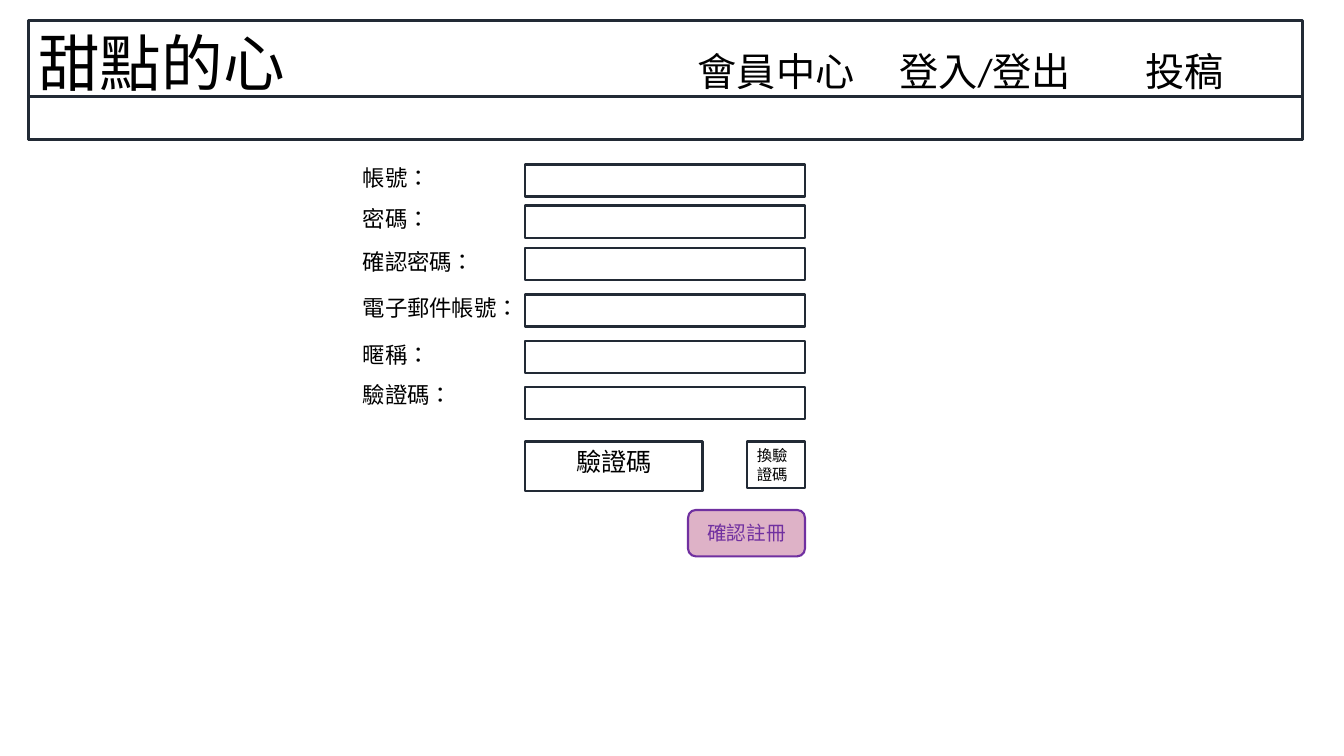
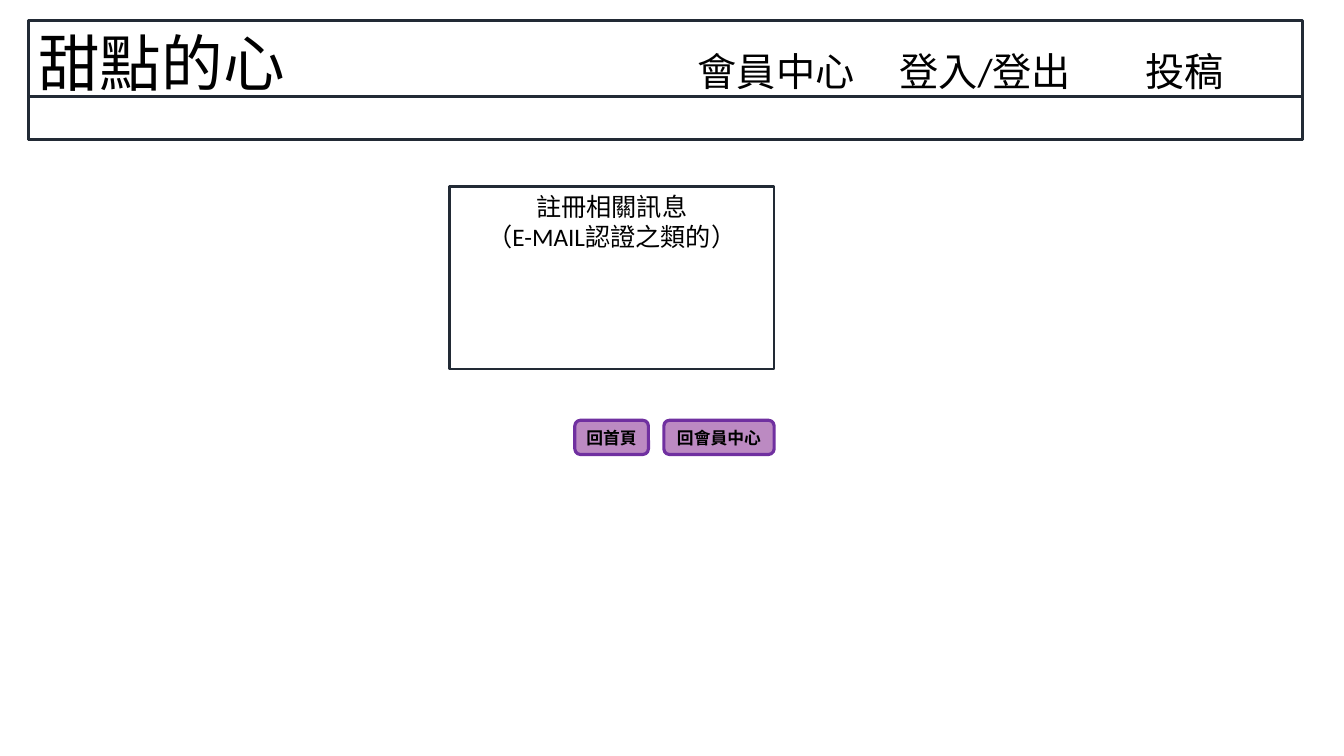
from lxml.etree import SubElement
from pptx import Presentation
from pptx.dml.color import RGBColor
from pptx.enum.shapes import MSO_SHAPE
from pptx.enum.text import MSO_ANCHOR, MSO_AUTO_SIZE, PP_ALIGN
from pptx.oxml.ns import qn
from pptx.util import Pt

FONT = "Calibri"
INK, BLACK, PURPLE, PINK, LILAC = "222A35", "000000", "7030A0", "DEB2C7", "BC8AC2"
HEADER = (20.2, 14.4, 910, 85)  # left, top, width, height
MENU_STOPS = (471, 615, 790.5)


def color(hex_text):
    return RGBColor.from_string(hex_text)


def add_run(paragraph, text, size, ink=BLACK, bold=False):
    run = paragraph.add_run()
    run.text = text
    run.font.name, run.font.size, run.font.bold = FONT, Pt(size), bold
    run.font.color.rgb = color(ink)
    run._r.get_or_add_rPr().set("lang", "zh-TW")


def set_frame(frame, anchor=MSO_ANCHOR.TOP):
    frame.word_wrap = True
    frame.auto_size = MSO_AUTO_SIZE.NONE
    frame.vertical_anchor = anchor
    frame.margin_left = frame.margin_right = Pt(7.2)
    frame.margin_top = frame.margin_bottom = Pt(3.6)


def write(frame, lines, size, align, ink=BLACK, bold=False):
    for index, line in enumerate(lines):
        paragraph = frame.paragraphs[0] if index == 0 else frame.add_paragraph()
        paragraph.alignment = align
        add_run(paragraph, line, size, ink, bold)


def add_box(slide, box, lines=(), size=18, align=PP_ALIGN.CENTER, weight=1.75):
    """Outlined box without fill, text from the top."""
    outline = slide.shapes.add_shape(MSO_SHAPE.RECTANGLE, *map(Pt, box))
    outline.shadow.inherit = False
    outline.fill.background()
    outline.line.color.rgb = color(INK)
    outline.line.width = Pt(weight)
    set_frame(outline.text_frame)
    write(outline.text_frame, lines, size, align)


def add_button(slide, box, caption, size, fill, ink=BLACK, weight=2.25, bold=False):
    button = slide.shapes.add_shape(MSO_SHAPE.ROUNDED_RECTANGLE, *map(Pt, box))
    button.shadow.inherit = False
    button.fill.solid()
    button.fill.fore_color.rgb = color(fill)
    button.line.color.rgb = color(PURPLE)
    button.line.width = Pt(weight)
    set_frame(button.text_frame, MSO_ANCHOR.MIDDLE)
    write(button.text_frame, [caption], size, PP_ALIGN.CENTER, ink, bold)


def add_label(slide, box, text):
    label = slide.shapes.add_textbox(*map(Pt, box))
    set_frame(label.text_frame)
    write(label.text_frame, [text], 16, PP_ALIGN.LEFT)


def add_header(slide, box):
    """Site name and menu in the title, with an empty bar below."""
    left, top, width, height = box
    bar_height = 30.2
    title = slide.shapes.title
    title.left, title.top, title.width, title.height = map(Pt, box)
    title.line.color.rgb = color(INK)
    title.line.width = Pt(2.25)
    set_frame(title.text_frame)
    heading = title.text_frame.paragraphs[0]
    heading.alignment = PP_ALIGN.LEFT
    add_run(heading, "甜點的心", 44)
    add_run(heading, "\t會員中心\t登入/登出\t投稿", 28)
    # Menu entries sit on tab stops
    stops = SubElement(heading._p.get_or_add_pPr(), qn("a:tabLst"))
    for stop in MENU_STOPS:
        SubElement(stops, qn("a:tab"), pos=str(int(Pt(stop))), algn="l")
    add_box(slide, (left, top + height - bar_height, width, bar_height), weight=2.25)


def add_form(slide, left, top):
    """Registration form: labelled fields, check code and confirm button."""
    field_left, field_width, field_height = left + 123, 200, 23
    right = field_left + field_width
    # Label, label offset, field offset
    rows = (
        ("帳號：", 0, 3.6),
        ("密碼：", 29.5, 33.1),
        ("確認密碼：", 59.8, 63.4),
        ("電子郵件帳號：", 92.9, 96.5),
        ("暱稱：", 126, 129.6),
        ("驗證碼：", 154.8, 162.7),
    )
    for text, label_offset, field_offset in rows:
        add_box(slide, (field_left, top + field_offset, field_width, field_height))
        add_label(slide, (left, top + label_offset, 120, 26.6), text)
    # Check code and its refresh box
    code_top = top + 201.6
    add_box(slide, (field_left, code_top, 127, 35.3), ["驗證碼"])
    add_box(slide, (right - 41.5, code_top, 41.5, 33.1), ["換驗證碼"], 11, PP_ALIGN.LEFT)
    add_button(slide, (right - 83.5, top + 250.5, 83.5, 33.1), "確認註冊", 14,
               PINK, PURPLE, 1.5)


def add_notice(slide, left, top):
    """Registration message with the two ways back below it."""
    width, height, gap = 232, 130.5, 11
    add_box(slide, (left, top, width, height), ["註冊相關訊息", "（E-MAIL認證之類的）"])
    right = left + width
    for caption, button_width in (("回會員中心", 78.8), ("回首頁", 52.6)):
        button_box = (right - button_width, top + 167, button_width, 24.5)
        add_button(slide, button_box, caption, 12, LILAC, bold=True)
        right -= button_width + gap


def main():
    deck = Presentation()
    deck.slide_width, deck.slide_height = Pt(960), Pt(540)
    title_only = deck.slide_layouts[5]
    for add_content, left, top in ((add_form, 252, 113.8), (add_notice, 321, 133.2)):
        slide = deck.slides.add_slide(title_only)
        add_header(slide, HEADER)
        add_content(slide, left, top)
    deck.save("out.pptx")


if __name__ == "__main__":
    main()
